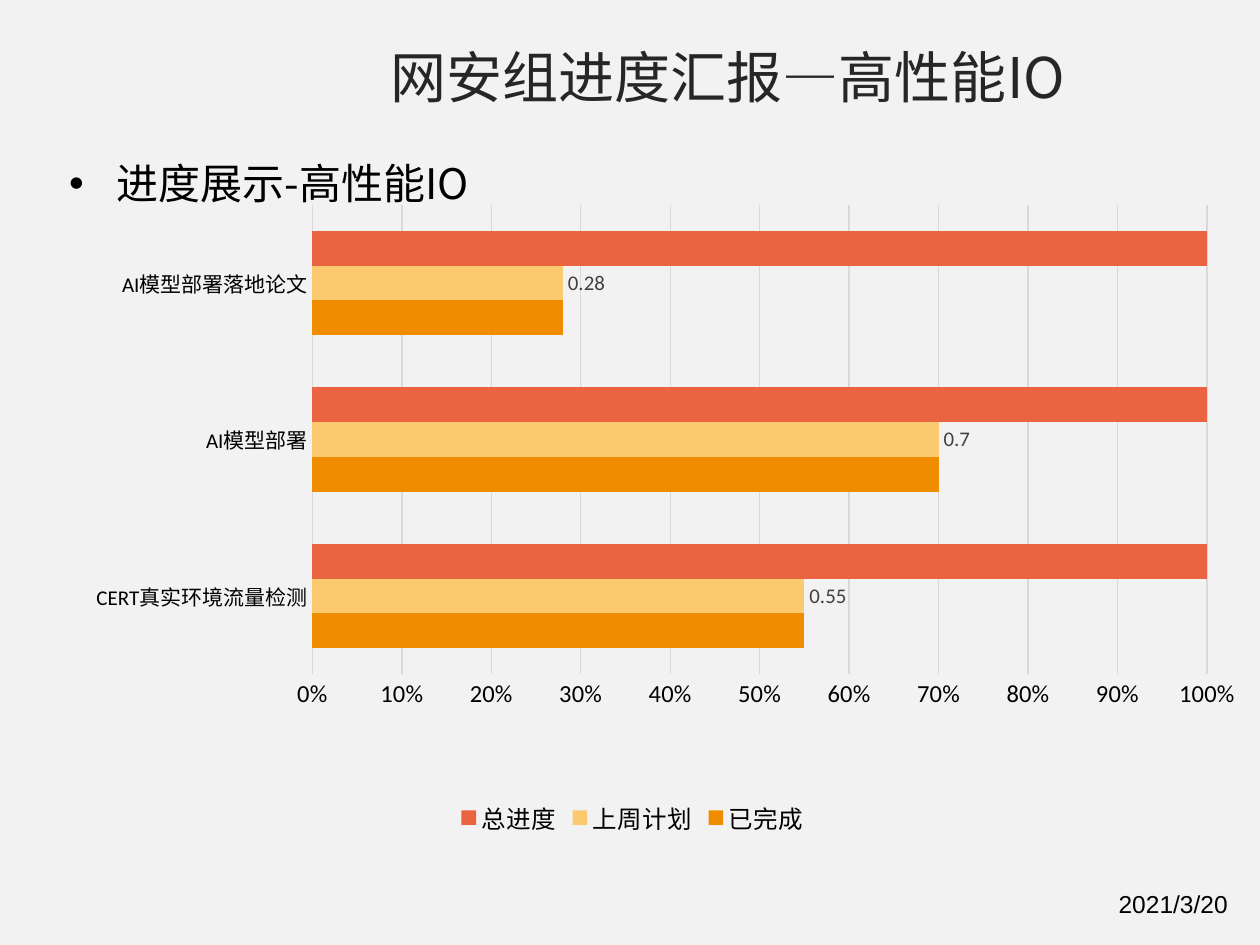
from dataclasses import dataclass

from lxml import etree
from pptx import Presentation
from pptx import util as u
from pptx.chart.data import CategoryChartData
from pptx.dml.color import RGBColor
from pptx.enum import chart as ch, text as t
from pptx.oxml.ns import qn


@dataclass(frozen=True)
class Theme:
    background: str = "F2F2F2"
    ink: str = "000000"
    heading: str = "262626"
    label: str = "404040"
    grid: str = "D9D9D9"
    done: str = "F08C00"
    planned: str = "FBCA6E"
    total: str = "EA6441"
    cjk: str = "Noto Sans CJK SC"
    latin: str = "Calibri"
    plain: str = "Arial"
    title_size: float = 32
    bullet_size: float = 24
    base_size: float = 14
    category_size: float = 12
    label_size: float = 11.9


theme = Theme()


def style_font(font, size, color, name):
    font.size = u.Pt(size)
    font.color.rgb = RGBColor.from_string(color)
    font.name = name


def add_text(page, place, words, size, color, name, wrap=True):
    box = page.shapes.add_textbox(*map(u.Inches, place))
    box.text_frame.word_wrap = wrap
    para = box.text_frame.paragraphs[0]
    span = para.add_run()
    span.text = words
    style_font(para.font, size, color, name)
    defaults = para.font._element
    etree.SubElement(defaults, qn("a:ea"), typeface=name)
    properties = span.font._element
    style_font(span.font, size, color, name)
    etree.SubElement(properties, qn("a:ea"), typeface=name)
    return para


deck = Presentation()
deck.slide_width, deck.slide_height = u.Inches(10), u.Inches(7.5)
page = deck.slides.add_slide(deck.slide_layouts[6])
page.background.fill.solid()
page.background.fill.fore_color.rgb = RGBColor.from_string(theme.background)

add_text(page, (8.78, 7.01, 1.24, 0.34), "2021/3/20",
         theme.base_size, theme.ink, theme.plain)
add_text(page, (3, 0.29, 5.67, 0.64), "网安组进度汇报—高性能IO",
         theme.title_size, theme.heading, theme.cjk, wrap=False)
bullet = add_text(page, (0.45, 1.2, 5.4, 0.65), "进度展示-高性能IO",
                  theme.bullet_size, theme.ink, theme.cjk)
indent = u.Inches(0.38)
bullet_format = bullet._p.get_or_add_pPr()
bullet_format.set("marL", str(indent))
bullet_format.set("indent", str(-indent))
mark = etree.Element(qn("a:buChar"), char="•")
bullet_font = etree.Element(qn("a:buFont"), typeface=theme.plain)
bullet_format.insert(0, bullet_font)
bullet_font.addnext(mark)

progress = [0.55, 0.7, 0.28]
series_rows = [
    ("已完成", progress, theme.done),
    ("上周计划", progress, theme.planned),
    ("总进度", [1, 1, 1], theme.total),
]
data = CategoryChartData()
data.categories = ["CERT真实环境流量检测", "AI模型部署", "AI模型部署落地论文"]
for name, values, color in series_rows:
    data.add_series(name, values)
chart = page.shapes.add_chart(
    ch.XL_CHART_TYPE.BAR_CLUSTERED,
    *map(u.Inches, (0.02, 1.48, 10, 5.19)), data).chart
chart.has_title = False
style_font(chart.font, 10, theme.ink, theme.latin)

plot = chart.plots[0]
plot.gap_width = 150
plot.overlap = 0
plot.vary_by_categories = False
for series, (name, values, color) in zip(plot.series, series_rows):
    series.format.fill.solid()
    series.format.fill.fore_color.rgb = RGBColor.from_string(color)
    series.invert_if_negative = False

labels = plot.series[1].data_labels
labels.show_value = True
labels.position = ch.XL_LABEL_POSITION.OUTSIDE_END
labels.number_format = "General"
labels.number_format_is_linked = False
style_font(labels.font, theme.label_size, theme.label, theme.latin)

categories, scale = chart.category_axis, chart.value_axis
for axis, size in ((categories, theme.category_size), (scale, theme.base_size)):
    axis.major_tick_mark = axis.minor_tick_mark = ch.XL_TICK_MARK.NONE
    style_font(axis.tick_labels.font, size, theme.ink, theme.latin)
scale.minimum_scale, scale.maximum_scale, scale.major_unit = 0, 1, 0.1
scale.tick_labels.number_format = "0%"
scale.tick_labels.number_format_is_linked = False
scale.format.line.fill.background()
scale.has_major_gridlines = True
for line in (categories.format.line, scale.major_gridlines.format.line):
    line.color.rgb = RGBColor.from_string(theme.grid)
    line.width = u.Pt(0.75)

chart.has_legend = True
chart.legend.position = ch.XL_LEGEND_POSITION.BOTTOM
chart.legend.include_in_layout = False
style_font(chart.legend.font, theme.base_size, theme.ink, theme.latin)

plot_area = chart._chartSpace.chart.plotArea
for old_layout in plot_area.findall(qn("c:layout")):
    plot_area.remove(old_layout)
layout = etree.Element(qn("c:layout"))
plot_area.insert(0, layout)
manual = etree.SubElement(layout, qn("c:manualLayout"))
for tag, value in (
    ("layoutTarget", "inner"), ("xMode", "edge"), ("yMode", "edge"),
    ("x", "0.246"), ("y", "0.028"), ("w", "0.71"), ("h", "0.718"),
):
    etree.SubElement(manual, qn(f"c:{tag}"), val=value)

deck.save("out.pptx")
